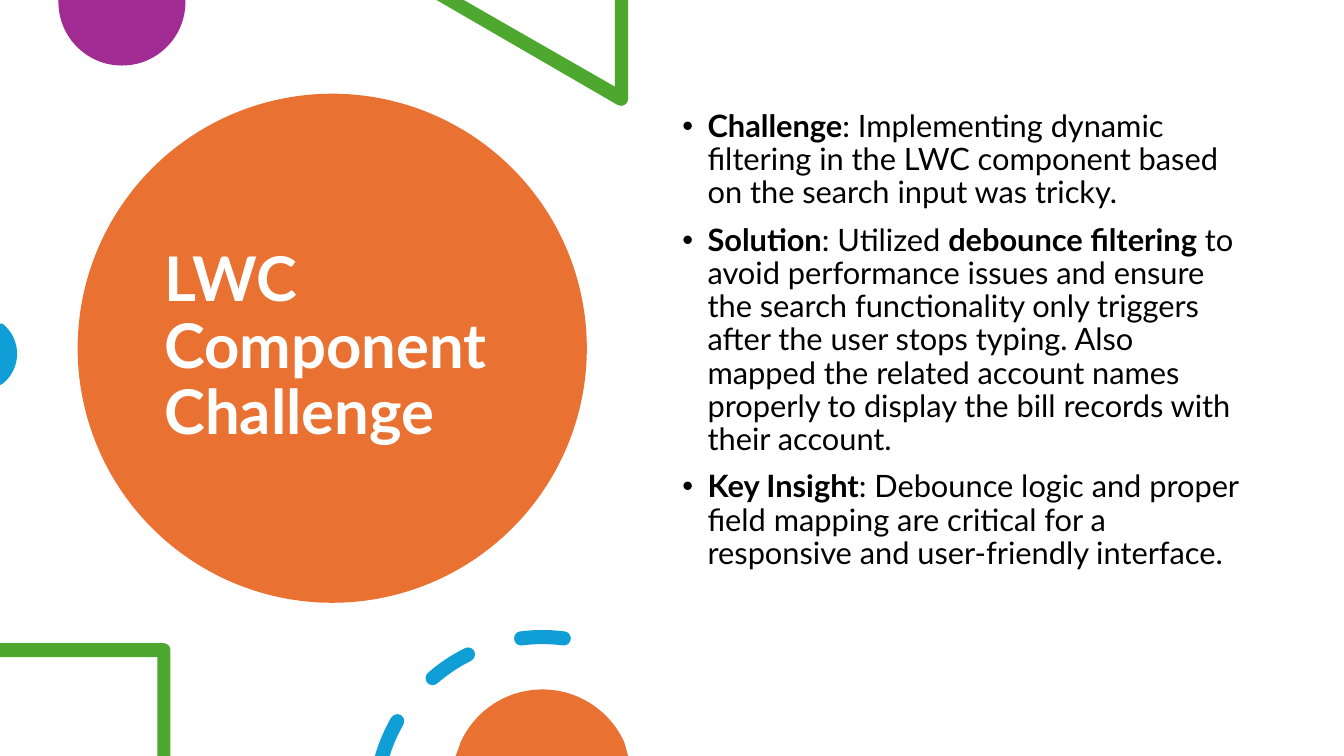
from dataclasses import dataclass
from math import asin, cos, degrees, floor, radians, sin, tan
from typing import NamedTuple

from lxml.etree import SubElement
from pptx import Presentation
from pptx.dml.color import RGBColor
from pptx.enum.shapes import MSO_SHAPE
from pptx.enum.text import MSO_ANCHOR, PP_ALIGN
from pptx.oxml.ns import qn
from pptx.util import Inches, Pt

ORANGE = RGBColor(0xE9, 0x71, 0x32)
PURPLE = RGBColor(0xA0, 0x2B, 0x93)
GREEN = RGBColor(0x4E, 0xA7, 0x2E)
BLUE = RGBColor(0x0F, 0x9E, 0xD5)
WHITE = RGBColor(0xFF, 0xFF, 0xFF)
BLACK = RGBColor(0, 0, 0)
FONT = "Lato"
BOTTOM = 7.5
RING_X, RING_Y, RING_R = 5.38, 7.98, 1.66
HALF_DASH = 0.07
OUTER, INNER = RING_R + HALF_DASH, RING_R - HALF_DASH


class Vertex(NamedTuple):
    x: float
    y: float
    controls: tuple[tuple[float, float], ...] = ()


Contour = list[Vertex]


@dataclass
class Decoration:
    color: RGBColor
    contours: list[Contour]


@dataclass
class Span:
    text: str
    bold: bool = False


def line(*points: tuple[float, float]) -> Contour:
    return [Vertex(x, y) for x, y in points]


def arc(cx: float, cy: float, radius: float, start: float, end: float) -> Contour:
    low, high = min(start, end), max(start, end)
    quarters = [90 * q for q in range(floor(low / 90) + 1, floor(high / 90) + 1)
                if 90 * q < high]
    stops = sorted([low, *quarters, high], reverse=start > end)

    def point(degree: float, pull: float = 0) -> tuple[float, float]:
        a = radians(degree)
        return (cx + radius * (cos(a) - pull * sin(a)),
                cy + radius * (sin(a) + pull * cos(a)))

    contour = [Vertex(*point(start))]
    for a, b in zip(stops, stops[1:]):
        pull = 4 / 3 * tan(radians(b - a) / 4)
        contour.append(Vertex(*point(b), (point(a, pull), point(b, -pull))))
    return contour


def join(first: Contour, *others: Contour) -> Contour:
    return first + [v for other in others for v in other[1:]]


def ring_cap(angle: float, turn: float) -> Contour:
    a = radians(angle)
    x, y = RING_X + RING_R * cos(a), RING_Y + RING_R * sin(a)
    return arc(x, y, HALF_DASH, turn, turn + 180)


def ring_arc(radius: float, start: float, end: float) -> Contour:
    return arc(RING_X, RING_Y, radius, start, end)


def round_dash(start: float, end: float) -> Contour:
    return join(ring_arc(OUTER, start, end), ring_cap(end, end),
                ring_arc(INNER, end, start), ring_cap(start, start + 180))


def cut_dash(end: float) -> Contour:
    outer_start, inner_start = (
        180 + degrees(asin((RING_Y - BOTTOM) / r)) for r in (OUTER, INNER))
    return join(ring_arc(OUTER, outer_start, end), ring_cap(end, end),
                ring_arc(INNER, end, inner_start))


DECORATIONS = [
    Decoration(PURPLE, [line((1.84, 0), (0.58, 0)) + arc(1.21, 0.02, 0.63, 180, 0)]),
    Decoration(GREEN, [line((6.23, 0), (6.1, 0), (6.1, 0.86), (4.6, 0), (4.33, 0))
                       + arc(6.16, 0.98, 0.07, 120, 0)]),
    Decoration(BLUE, [line((0, 3.82), (0, 3.21)) + arc(-0.21, 3.51, 0.38, -52, 52)]),
    Decoration(GREEN, [line((0, 6.52), (0, 6.38)) + arc(1.62, 6.45, 0.07, 270, 360)
                       + line((1.69, BOTTOM), (1.56, BOTTOM), (1.56, 6.52))]),
    Decoration(BLUE, [cut_dash(209.8), round_dash(229, 243.6),
                      round_dash(262.7, 277.3)]),
    Decoration(ORANGE, [arc(5.38, 7.73, 0.89, 204, 336)
                        + line((6.23, BOTTOM), (4.52, BOTTOM))]),
]

BULLETS = [
    [Span("Challenge", True),
     Span(": Implementing dynamic filtering in the LWC component based on the "
          "search input was tricky.")],
    [Span("Solution", True), Span(": Utilized "), Span("debounce filtering", True),
     Span(" to avoid performance issues and ensure the search functionality only "
          "triggers after the user stops typing. Also mapped the related account "
          "names properly to display the bill records with their account.")],
    [Span("Key Insight", True),
     Span(": Debounce logic and proper field mapping are critical for a "
          "responsive and user-friendly interface.")],
]


def paint(sp, color: RGBColor) -> None:
    sp.shadow.inherit = False
    sp.fill.solid()
    sp.fill.fore_color.rgb = color
    sp.line.fill.background()


def style_run(r, size: int, color: RGBColor, bold: bool) -> None:
    r.font.name = FONT
    r.font.size = Pt(size)
    r.font.bold = bold
    r.font.color.rgb = color


def bend(sp, vertices: Contour) -> None:
    segments = list(sp._element.iter(qn("a:lnTo")))
    for segment, vertex in zip(segments, vertices):
        if not vertex.controls:
            continue
        segment.tag = qn("a:cubicBezTo")
        for i, (x, y) in enumerate(vertex.controls):
            pt = SubElement(segment, qn("a:pt"))
            pt.set("x", str(Inches(x) - sp.left))
            pt.set("y", str(Inches(y) - sp.top))
            segment.insert(i, pt)


def add_decoration(slide, item: Decoration) -> None:
    builder = None
    for contour in item.contours:
        points = [(Inches(v.x), Inches(v.y)) for v in contour]
        if builder is None:
            builder = slide.shapes.build_freeform(*points[0])
        else:
            builder.move_to(*points[0])
        builder.add_line_segments(points[1:], close=True)
    sp = builder.convert_to_shape()
    bend(sp, [v for contour in item.contours for v in contour[1:]])
    paint(sp, item.color)


def add_title(slide) -> None:
    circle = slide.shapes.add_shape(
        MSO_SHAPE.OVAL, Inches(0.77), Inches(0.93), Inches(5.05), Inches(5.05))
    paint(circle, ORANGE)
    title = slide.shapes.title
    title._element.addprevious(circle._element)
    title.left, title.top = Inches(1.53), Inches(1.23)
    title.width, title.height = Inches(3.54), Inches(4.45)
    tf = title.text_frame
    tf.text = "LWC Component Challenge"
    tf.word_wrap = True
    tf.vertical_anchor = MSO_ANCHOR.MIDDLE
    p = tf.paragraphs[0]
    p.alignment = PP_ALIGN.LEFT
    p.line_spacing = 0.9
    style_run(p.runs[0], 44, WHITE, True)


def add_bullets(slide) -> None:
    box = slide.shapes.add_textbox(
        Inches(6.67), Inches(1.05), Inches(5.75), Inches(5.35))
    tf = box.text_frame
    tf.word_wrap = True
    for i, spans in enumerate(BULLETS):
        p = tf.add_paragraph() if i else tf.paragraphs[0]
        p.line_spacing = 0.9
        p.space_before = Pt(10)
        pPr = p._p.get_or_add_pPr()
        pPr.set("marL", str(Inches(0.25)))
        pPr.set("indent", str(Inches(-0.25)))
        SubElement(pPr, qn("a:buFont")).set("typeface", "Arial")
        SubElement(pPr, qn("a:buChar")).set("char", "•")
        for span in spans:
            r = p.add_run()
            r.text = span.text
            style_run(r, 22, BLACK, span.bold)


prs = Presentation()
prs.slide_width, prs.slide_height = Inches(13.33), Inches(BOTTOM)
slide = prs.slides.add_slide(prs.slide_layouts[5])
add_title(slide)
add_bullets(slide)
for item in DECORATIONS:
    add_decoration(slide, item)
prs.save("out.pptx")
